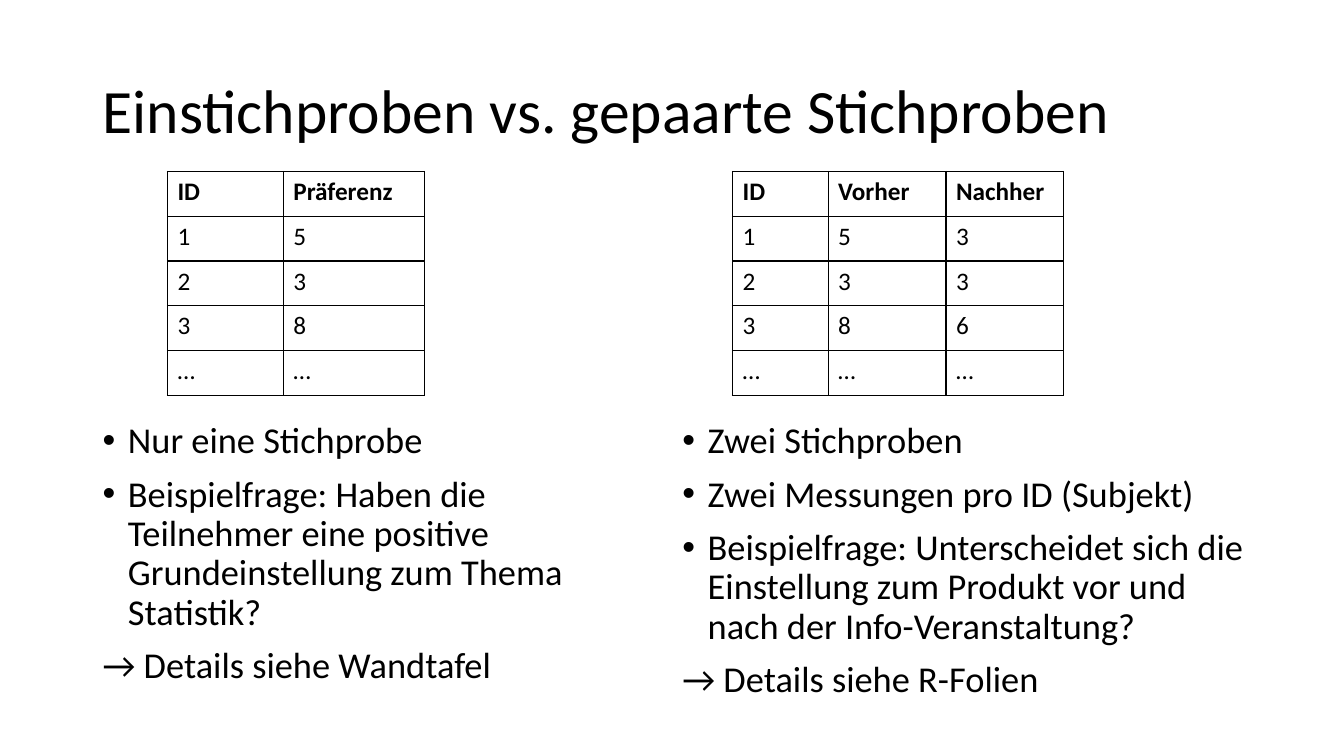
from dataclasses import dataclass

from lxml.etree import SubElement
from pptx import Presentation
from pptx.dml.color import RGBColor
from pptx.enum.text import MSO_ANCHOR, MSO_AUTO_SIZE, PP_ALIGN
from pptx.oxml.ns import qn
from pptx.util import Cm, Pt


@dataclass(frozen=True)
class Theme:
    font: str = "Calibri"
    ink: RGBColor = RGBColor(0, 0, 0)
    title_size: int = 44
    body_size: int = 26
    table_size: int = 18
    border_width: int = 1
    line_spacing: float = 0.9
    space_before: int = 10
    bullet_indent: float = 0.64


THEME = Theme()
TWO_CONTENT_LAYOUT = 3
ROW_HEIGHT = 1.13

# Boxes are left, top, width, height in centimetres
TITLE_BOX = (2.33, 1.01, 29.21, 3.68)

SAMPLES = [
    {
        "table_origin": (4.22, 4.32),
        "column_widths": [2.92, 3.55],
        "rows": [["ID", "Präferenz"], ["1", "5"], ["2", "3"], ["3", "8"], ["…", "…"]],
        "list_box": (2.33, 10.52, 13.64, 7.87),
        "bullets": [
            "Nur eine Stichprobe",
            "Beispielfrage: Haben die Teilnehmer eine positive "
            "Grundeinstellung zum Thema Statistik?",
        ],
        "reference": "→ Details siehe Wandtafel",
    },
    {
        "table_origin": (18.46, 4.32),
        "column_widths": [2.41, 2.97, 2.97],
        "rows": [
            ["ID", "Vorher", "Nachher"],
            ["1", "5", "3"],
            ["2", "3", "3"],
            ["3", "8", "6"],
            ["…", "…", "…"],
        ],
        "list_box": (16.94, 10.52, 14.99, 7.52),
        "bullets": [
            "Zwei Stichproben",
            "Zwei Messungen pro ID (Subjekt)",
            "Beispielfrage: Unterscheidet sich die Einstellung zum Produkt "
            "vor und nach der Info-Veranstaltung?",
        ],
        "reference": "→ Details siehe R-Folien",
    },
]


def place(shape, box):
    shape.left, shape.top, shape.width, shape.height = map(Cm, box)


def format_runs(paragraph, size, bold=False):
    for run in paragraph.runs:
        run.font.name = THEME.font
        run.font.size = Pt(size)
        run.font.bold = bold
        run.font.color.rgb = THEME.ink


def set_bullet(paragraph, bulleted):
    properties = paragraph._p.get_or_add_pPr()
    indent = Cm(THEME.bullet_indent) if bulleted else 0
    properties.set("marL", str(indent))
    properties.set("indent", str(-indent))
    if bulleted:
        SubElement(properties, qn("a:buFont"), typeface="Arial")
        SubElement(properties, qn("a:buChar"), char="•")
    else:
        SubElement(properties, qn("a:buNone"))


def set_borders(cell):
    properties = cell._tc.get_or_add_tcPr()
    for side in ("a:lnL", "a:lnR", "a:lnT", "a:lnB"):
        line = SubElement(properties, qn(side), w=str(Pt(THEME.border_width)))
        fill = SubElement(line, qn("a:solidFill"))
        SubElement(fill, qn("a:srgbClr"), val=str(THEME.ink))


def fill_title(title, box, text):
    place(title, box)
    frame = title.text_frame
    frame.text = text
    frame.auto_size = MSO_AUTO_SIZE.NONE
    frame.vertical_anchor = MSO_ANCHOR.MIDDLE
    paragraph = frame.paragraphs[0]
    paragraph.alignment = PP_ALIGN.LEFT
    paragraph.line_spacing = THEME.line_spacing
    format_runs(paragraph, THEME.title_size)


def add_data_table(slide, origin, column_widths, rows):
    left, top = origin
    table = slide.shapes.add_table(
        len(rows), len(column_widths), Cm(left), Cm(top),
        Cm(sum(column_widths)), Cm(ROW_HEIGHT * len(rows)),
    ).table
    table.horz_banding = False
    table.first_row = False
    for column, width in zip(table.columns, column_widths):
        column.width = Cm(width)
    for row_index, values in enumerate(rows):
        table.rows[row_index].height = Cm(ROW_HEIGHT)
        for column_index, value in enumerate(values):
            cell = table.cell(row_index, column_index)
            cell.text = value
            set_borders(cell)
            cell.fill.background()
            format_runs(cell.text_frame.paragraphs[0], THEME.table_size,
                        bold=row_index == 0)


def fill_list(body, box, bullets, reference):
    place(body, box)
    frame = body.text_frame
    frame.text = "\n".join([*bullets, reference])
    frame.auto_size = MSO_AUTO_SIZE.NONE
    frame.vertical_anchor = MSO_ANCHOR.TOP
    for index, paragraph in enumerate(frame.paragraphs):
        paragraph.line_spacing = THEME.line_spacing
        paragraph.space_before = Pt(THEME.space_before)
        set_bullet(paragraph, bulleted=index < len(bullets))
        format_runs(paragraph, THEME.body_size)


def build_comparison_slide(presentation):
    layout = presentation.slide_layouts[TWO_CONTENT_LAYOUT]
    slide = presentation.slides.add_slide(layout)
    title, *bodies = slide.placeholders
    fill_title(title, TITLE_BOX, "Einstichproben vs. gepaarte Stichproben")

    # One table with its list per kind of sample
    for body, sample in zip(bodies, SAMPLES):
        add_data_table(slide, sample["table_origin"],
                       sample["column_widths"], sample["rows"])
        fill_list(body, sample["list_box"], sample["bullets"], sample["reference"])


def main():
    presentation = Presentation()
    presentation.slide_width = Cm(33.87)
    presentation.slide_height = Cm(19.05)
    build_comparison_slide(presentation)
    presentation.save("out.pptx")


if __name__ == "__main__":
    main()
